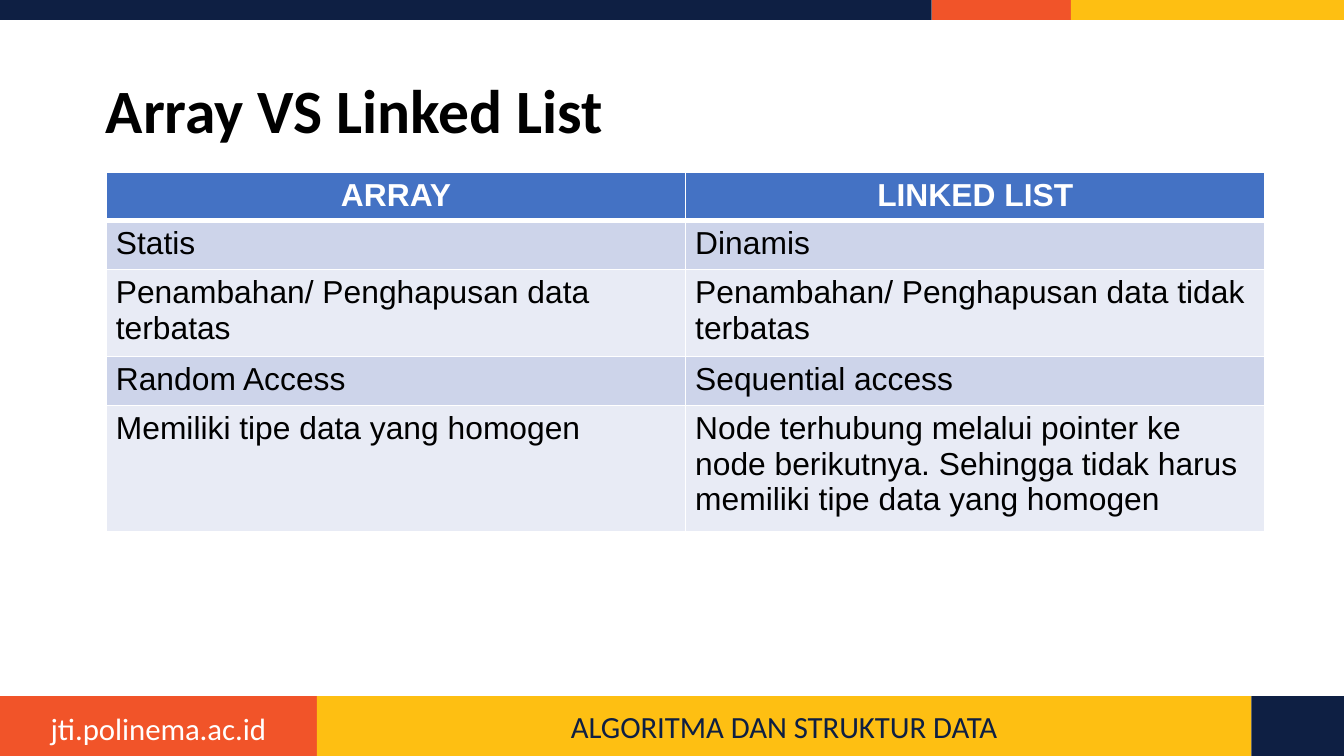
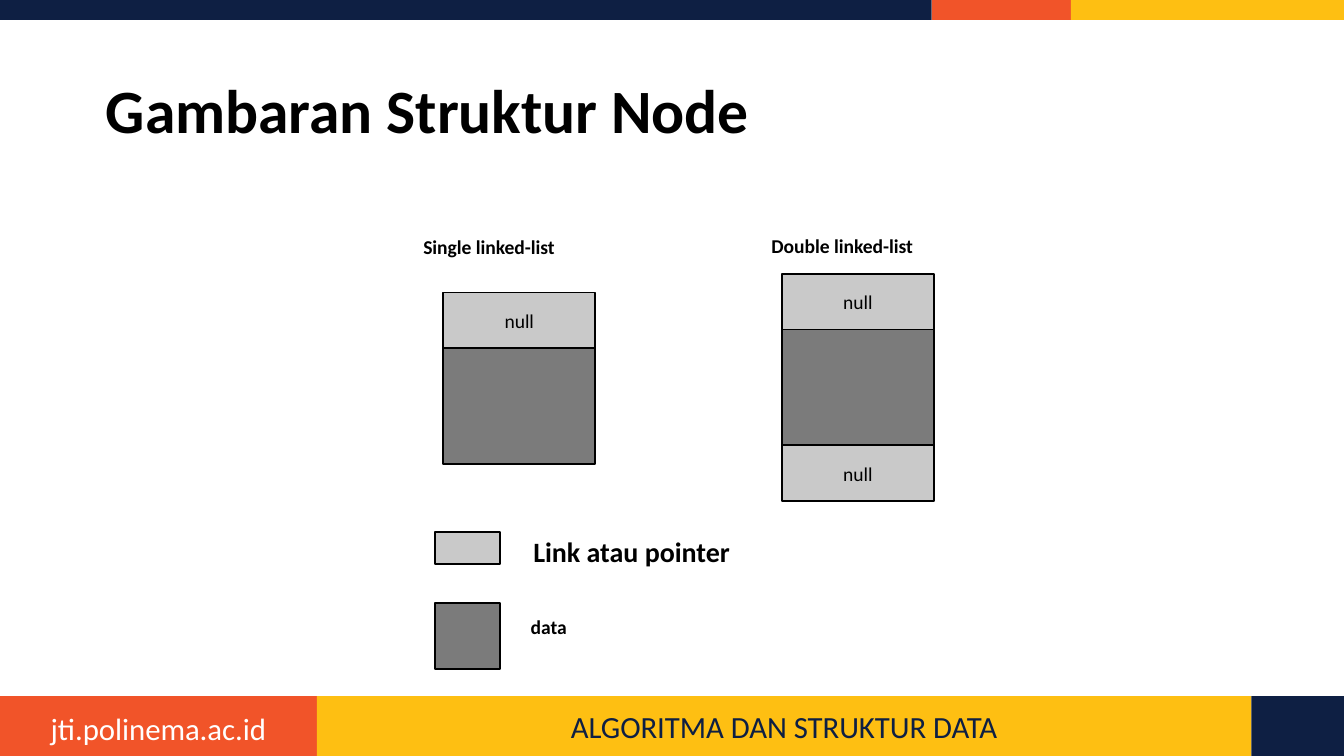
import dataclasses
import typing

import pptx
import pptx.dml.color
import pptx.enum.shapes
import pptx.enum.text
import pptx.oxml
import pptx.oxml.ns
import pptx.presentation
import pptx.slide
import pptx.table
import pptx.util

Cm = pptx.util.Cm
Pt = pptx.util.Pt
ALIGN = pptx.enum.text.PP_ALIGN
ANCHOR = pptx.enum.text.MSO_ANCHOR

# Shared colours and measures
NAVY, ORANGE, YELLOW = "0E1F43", "F15429", "FEBF12"
BLACK, WHITE = "000000", "FFFFFF"
LINK_GREY, DATA_GREY = "C9C9C9", "7B7B7B"
HEADER_BLUE, ROW_DARK, ROW_LIGHT = "4472C4", "CDD4EA", "E8EBF5"
SLIDE_WIDTH, SLIDE_HEIGHT = 25.4, 14.29
TOP_HEIGHT, FOOTER_HEIGHT = 0.38, 1.13
FOOTER_TOP = SLIDE_HEIGHT - FOOTER_HEIGHT
NODE_WIDTH, LINK_HEIGHT, DATA_HEIGHT = 2.87, 1.05, 2.19


@dataclasses.dataclass(frozen=True)
class Box:
    """Place and size in centimetres."""
    left: float
    top: float
    width: float
    height: float

    def lengths(self) -> tuple[pptx.util.Length, ...]:
        return tuple(Cm(v) for v in dataclasses.astuple(self))


@dataclasses.dataclass(frozen=True)
class Style:
    size: float
    color: str = BLACK
    bold: bool = False
    align: typing.Any = ALIGN.LEFT
    font: str = "Calibri"


@dataclasses.dataclass(frozen=True)
class Band:
    width: float
    color: str
    text: str = ""


@dataclasses.dataclass(frozen=True)
class Node:
    heading: str
    heading_box: Box
    left: float
    top: float
    members: tuple[str, ...]


@dataclasses.dataclass(frozen=True)
class LegendEntry:
    swatch: Box
    color: str
    text: str
    label: Box
    size: float
    margins: tuple[float, float] = (0.25, 0.13)


TITLE = Style(33, bold=True)
FOOTER_TITLE = Style(16.5, NAVY, align=ALIGN.CENTER)
FOOTER_SITE = Style(16.5, WHITE, align=ALIGN.CENTER)
NODE_TEXT = Style(10.5, align=ALIGN.CENTER)
NODE_HEADING = Style(10.5, bold=True)
TABLE_HEADER = Style(17, WHITE, True, ALIGN.CENTER, "Arial")
TABLE_BODY = Style(17, font="Arial")

TOP_BANDS = (Band(17.61, NAVY), Band(2.63, ORANGE), Band(5.16, YELLOW))
FOOTER_BANDS = (
    Band(5.99, ORANGE),
    Band(17.66, YELLOW, "ALGORITMA DAN STRUKTUR DATA"),
    Band(1.75, NAVY),
)

COMPARISON = (
    (0.92, "ARRAY", "LINKED LIST"),
    (0.92, "Statis", "Dinamis"),
    (1.65, "Penambahan/ Penghapusan data terbatas",
     "Penambahan/ Penghapusan data tidak terbatas"),
    (0.92, "Random Access", "Sequential access"),
    (2.39, "Memiliki tipe data yang homogen",
     "Node terhubung melalui pointer ke node berikutnya. "
     "Sehingga tidak harus memiliki tipe data yang homogen"),
)

NODES = (
    Node("Single linked-list", Box(7.75, 4.32, 3.48, 0.71),
         8.38, 5.53, ("link", "data")),
    Node("Double linked-list", Box(14.33, 4.29, 3.63, 0.71),
         14.78, 5.18, ("link", "data", "link")),
)

LEGEND = (
    LegendEntry(Box(8.23, 10.06, 1.22, 0.61), LINK_GREY,
                "Link atau pointer", Box(9.83, 9.98, 7.06, 0.89), 15),
    LegendEntry(Box(8.23, 11.4, 1.22, 1.24), DATA_GREY,
                "data", Box(9.83, 11.53, 10.16, 0.64), 10.5, (0.2, 0.1)),
)


def rgb(color: str) -> pptx.dml.color.RGBColor:
    return pptx.dml.color.RGBColor.from_string(color)


def write(frame: typing.Any, text: str, style: Style) -> None:
    paragraph = frame.paragraphs[0]
    paragraph.alignment = style.align
    run = paragraph.add_run()
    run.text = text
    run.font.name = style.font
    run.font.size = Pt(style.size)
    run.font.bold = style.bold
    run.font.color.rgb = rgb(style.color)


def set_margins(target: typing.Any, side: float, edge: float) -> None:
    target.margin_left = target.margin_right = Cm(side)
    target.margin_top = target.margin_bottom = Cm(edge)


def add_rectangle(slide: pptx.slide.Slide, box: Box, fill: str,
                  outlined: bool = False, text: str = "",
                  style: Style = NODE_TEXT) -> None:
    rectangle = slide.shapes.add_shape(
        pptx.enum.shapes.MSO_SHAPE.RECTANGLE, *box.lengths())
    rectangle.shadow.inherit = False
    rectangle.fill.solid()
    rectangle.fill.fore_color.rgb = rgb(fill)
    if outlined:
        rectangle.line.color.rgb = rgb(BLACK)
        rectangle.line.width = Pt(1)
    else:
        rectangle.line.fill.background()
    if text:
        rectangle.text_frame.vertical_anchor = ANCHOR.MIDDLE
        write(rectangle.text_frame, text, style)


def add_label(slide: pptx.slide.Slide, box: Box, text: str, style: Style,
              margins: tuple[float, float] = (0.25, 0.13)) -> typing.Any:
    frame = slide.shapes.add_textbox(*box.lengths()).text_frame
    frame.word_wrap = True
    set_margins(frame, *margins)
    write(frame, text, style)
    return frame


def add_bands(slide: pptx.slide.Slide, bands: tuple[Band, ...],
              top: float, height: float) -> None:
    left = 0.0
    for band in bands:
        add_rectangle(slide, Box(left, top, band.width, height), band.color,
                      text=band.text, style=FOOTER_TITLE)
        left += band.width


def add_titled_slide(deck: pptx.presentation.Presentation,
                     title: str) -> pptx.slide.Slide:
    slide = deck.slides.add_slide(deck.slide_layouts[6])
    add_bands(slide, TOP_BANDS, 0, TOP_HEIGHT)
    add_bands(slide, FOOTER_BANDS, FOOTER_TOP, FOOTER_HEIGHT)
    add_label(slide, Box(0, 13.28, FOOTER_BANDS[0].width, 0.97),
              "jti.polinema.ac.id", FOOTER_SITE)
    heading = add_label(slide, Box(1.75, 0.76, 21.9, 2.77), title, TITLE)
    heading.vertical_anchor = ANCHOR.MIDDLE
    heading.paragraphs[0].line_spacing = 0.9
    return slide


def set_borders(cell: typing.Any, top: int, bottom: int) -> None:
    properties = cell._tc.get_or_add_tcPr()
    for side, points in (("L", 1), ("R", 1), ("T", top), ("B", bottom)):
        properties.append(pptx.oxml.parse_xml(
            f'<a:ln{side} {pptx.oxml.ns.nsdecls("a")} w="{Pt(points)}">'
            f'<a:solidFill><a:srgbClr val="{WHITE}"/></a:solidFill>'
            f'</a:ln{side}>'))


def fill_row(table: pptx.table.Table, number: int,
             texts: tuple[str, ...]) -> None:
    is_header = number == 0
    banding = ROW_DARK if number % 2 else ROW_LIGHT
    for column, text in enumerate(texts):
        cell = table.cell(number, column)
        set_margins(cell, 0.18, 0.1)
        set_borders(cell, 3 if number == 1 else 1, 3 if is_header else 1)
        cell.fill.solid()
        cell.fill.fore_color.rgb = rgb(HEADER_BLUE if is_header else banding)
        write(cell.text_frame, text, TABLE_HEADER if is_header else TABLE_BODY)


def add_comparison(slide: pptx.slide.Slide) -> None:
    box = Box(2.01, 3.25, 21.9, sum(row[0] for row in COMPARISON))
    table = slide.shapes.add_table(len(COMPARISON), 2, *box.lengths()).table
    for column in table.columns:
        column.width = Cm(box.width / 2)
    for number, (height, *texts) in enumerate(COMPARISON):
        table.rows[number].height = Cm(height)
        fill_row(table, number, tuple(texts))


def add_node(slide: pptx.slide.Slide, node: Node) -> None:
    add_label(slide, node.heading_box, node.heading, NODE_HEADING)
    top = node.top
    for member in node.members:
        is_link = member == "link"
        height = LINK_HEIGHT if is_link else DATA_HEIGHT
        add_rectangle(slide, Box(node.left, top, NODE_WIDTH, height),
                      LINK_GREY if is_link else DATA_GREY, True,
                      "null" if is_link else "")
        top += height


def add_legend_entry(slide: pptx.slide.Slide, entry: LegendEntry) -> None:
    add_rectangle(slide, entry.swatch, entry.color, True)
    add_label(slide, entry.label, entry.text,
              Style(entry.size, bold=True), entry.margins)


def main() -> None:
    deck = pptx.Presentation()
    deck.slide_width, deck.slide_height = Cm(SLIDE_WIDTH), Cm(SLIDE_HEIGHT)

    # Comparison table
    add_comparison(add_titled_slide(deck, "Array VS Linked List"))

    # Node structures with legend
    structure = add_titled_slide(deck, "Gambaran Struktur Node")
    for node in NODES:
        add_node(structure, node)
    for entry in LEGEND:
        add_legend_entry(structure, entry)

    deck.save("out.pptx")


if __name__ == "__main__":
    main()
